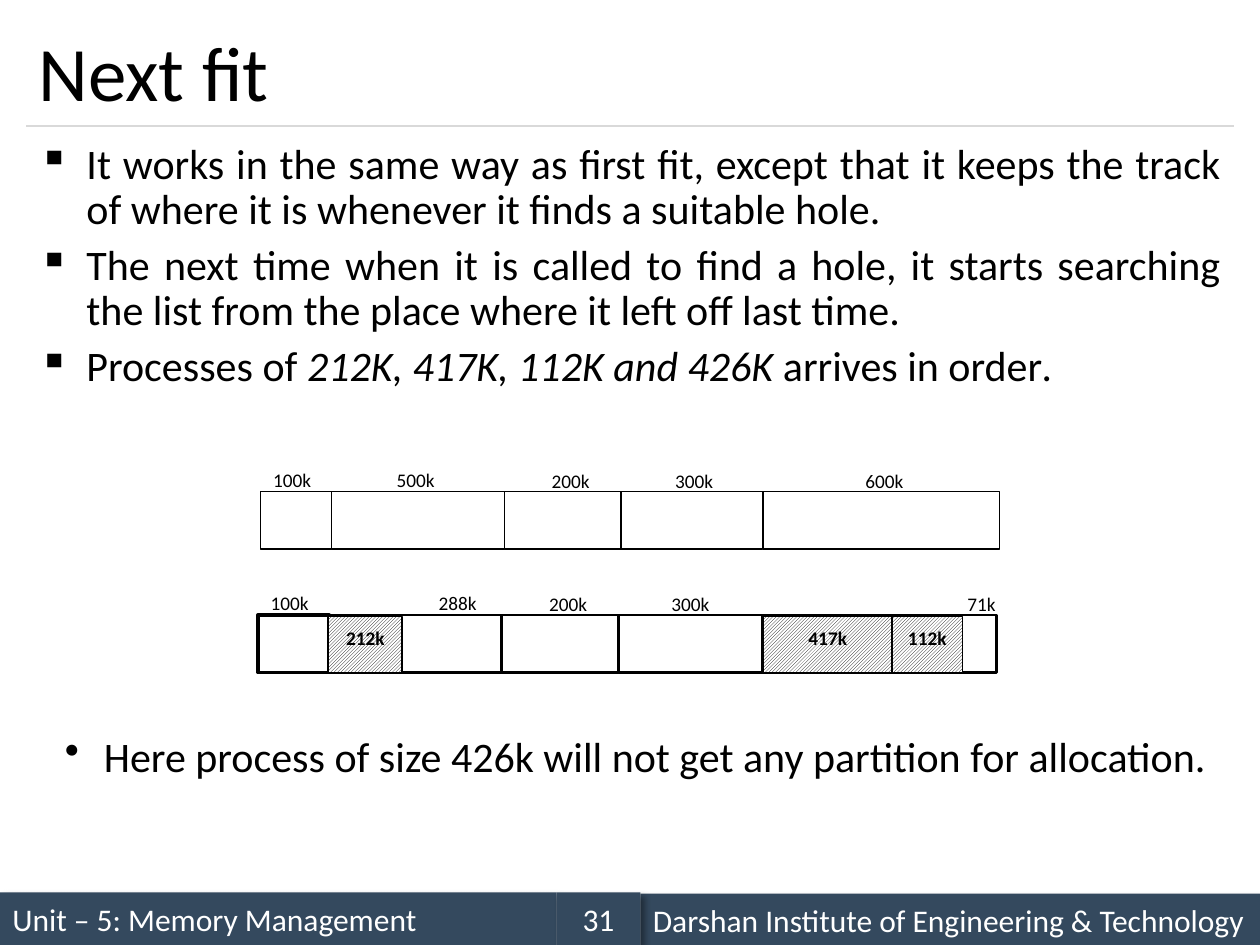
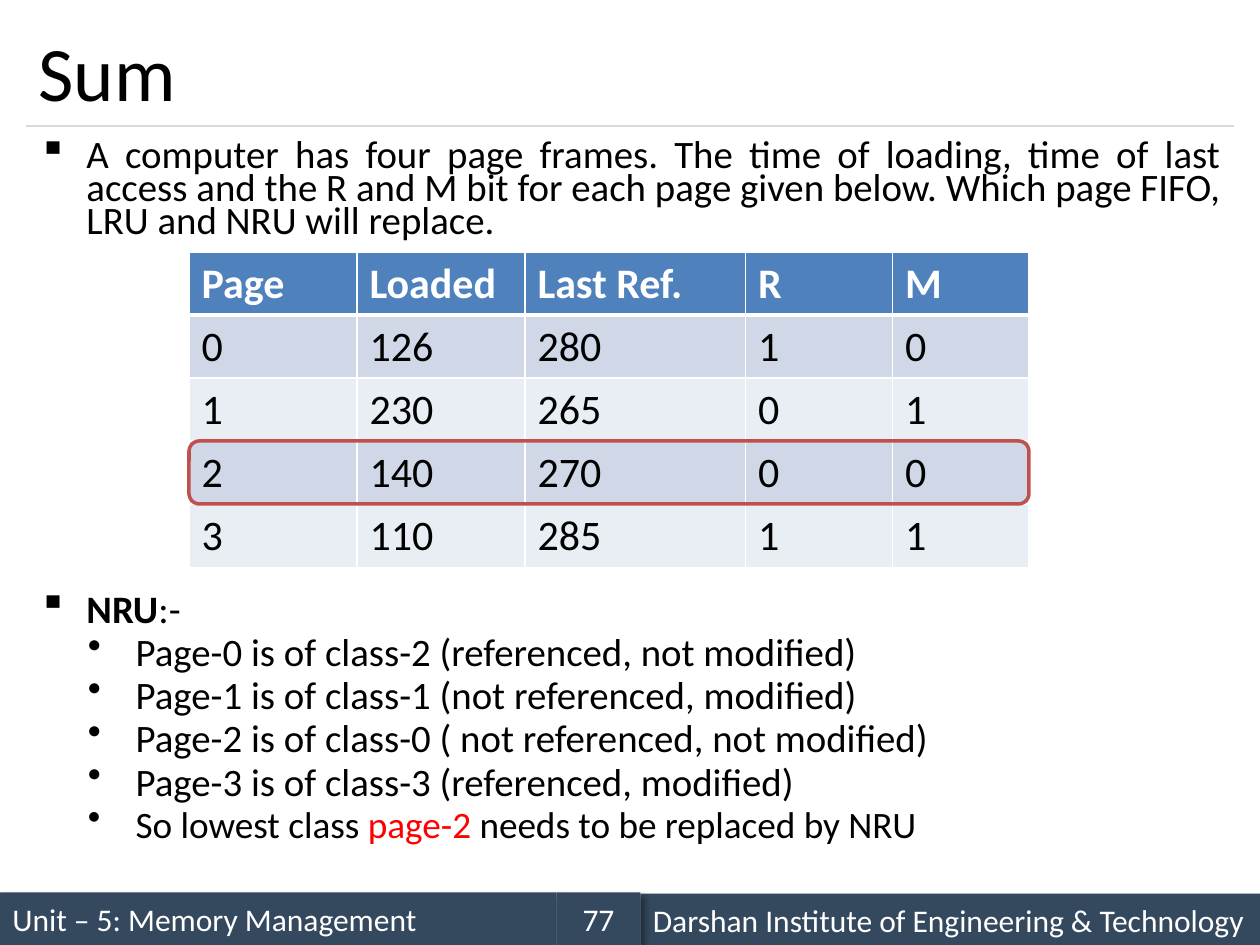
from itertools import accumulate

from lxml.etree import SubElement
from pptx import Presentation
from pptx.dml.color import RGBColor
from pptx.enum.dml import MSO_PATTERN_TYPE
from pptx.enum.shapes import MSO_CONNECTOR, MSO_SHAPE
from pptx.enum.text import MSO_ANCHOR, PP_ALIGN
from pptx.oxml.ns import qn
from pptx.util import Inches, Pt

FONT = "Calibri"
BLACK, WHITE, RED = "000000", "FFFFFF", "FF0000"
BAND, RULE, FRAME = "34495E", "D9D9D9", "C0504D"
HEADER, ROW_DARK, ROW_LIGHT = "4F81BD", "D0D8E8", "E9EDF4"
COLUMNS, ROWS = 120, 90

LABEL = {"line_spacing": 1.15, "space_after": Pt(10)}
CENTRED = {"alignment": PP_ALIGN.CENTER}
BODY = {"alignment": PP_ALIGN.JUSTIFY, "line_spacing": 0.9}
TIGHT = {"alignment": PP_ALIGN.JUSTIFY, "line_spacing": 0.7}


def rgb(value):
    return RGBColor.from_string(value)


def apply(target, values):
    for name, value in values.items():
        setattr(target, name, value)


def child(parent, tag, **attributes):
    return SubElement(parent, qn(tag), **{k: str(v) for k, v in attributes.items()})


class Deck:
    """Holds the style and the current slide; lengths are cells of a 120 x 90 grid."""

    def __init__(self):
        self.prs = Presentation()
        self.prs.slide_width, self.prs.slide_height = Inches(10), Inches(7.5)
        self.s = None

    def x(self, columns):
        return round(self.prs.slide_width * columns / COLUMNS)

    def y(self, rows):
        return round(self.prs.slide_height * rows / ROWS)

    def box(self, left, top, width, height):
        return self.x(left), self.y(top), self.x(width), self.y(height)

    def slide(self, title, number):
        self.s = self.prs.slides.add_slide(self.prs.slide_layouts[6])
        self.band(0, 85, 53, "Unit – 5: Memory Management")
        self.line(2.5, 12, 117.5, 12)
        self.band(61, 85.1, 59, "Darshan Institute of Engineering & Technology")
        self.band(53, 85, 8, str(number), CENTRED)
        self.text((2.5, 1.5, 115, 10.5), [[title]], 44, anchor=MSO_ANCHOR.MIDDLE)

    def band(self, left, top, width, text, style=None):
        sp = self.shape((left, top, width, 5), fill=BAND)
        shadow = child(sp._element.spPr.find(qn("a:effectLst")), "a:outerShdw",
                       blurRad=Pt(4), dist=Pt(3), dir=45 * 60000, algn="tl", rotWithShape=0)
        child(child(shadow, "a:srgbClr", val=BLACK), "a:alpha", val=40000)
        self.fill_text(sp.text_frame, [[text]], 18, style, color=WHITE)

    def line(self, x1, y1, x2, y2):
        c = self.s.shapes.add_connector(
            MSO_CONNECTOR.STRAIGHT, self.x(x1), self.y(y1), self.x(x2), self.y(y2))
        c.line.color.rgb, c.line.width = rgb(RULE), Pt(0.75)
        child(c._element.spPr, "a:effectLst")

    def shape(self, place, kind=MSO_SHAPE.RECTANGLE, fill=None, line=None, weight=0.75):
        sp = self.s.shapes.add_shape(kind, *self.box(*place))
        sp.shadow.inherit = False
        if fill:
            sp.fill.solid()
            sp.fill.fore_color.rgb = rgb(fill)
        else:
            sp.fill.background()
        if line:
            sp.line.color.rgb, sp.line.width = rgb(line), Pt(weight)
        else:
            sp.line.fill.background()
        return sp

    def process(self, left, width, text):
        """Draws an allocated block with diagonal hatching."""
        sp = self.shape((left, 58.68, width, 5.4), line=BLACK)
        sp.fill.patterned()
        sp.fill.pattern = MSO_PATTERN_TYPE.LIGHT_UPWARD_DIAGONAL
        sp.fill.fore_color.rgb, sp.fill.back_color.rgb = rgb(BLACK), rgb(WHITE)
        sp.text_frame.vertical_anchor = MSO_ANCHOR.TOP
        self.fill_text(sp.text_frame, [[(text, {"bold": True})]], 11, LABEL | CENTRED)

    def memory(self, left, top, widths, weights, labels):
        """Draws adjoining holes and the size labels above them."""
        starts = accumulate(widths, initial=left)
        for start, width, weight in zip(starts, widths, weights):
            self.shape((start, top, width, 5.5), fill=WHITE, line=BLACK, weight=weight)
        for start, rise, text in labels:
            self.text((start, top - rise, 6.7, 3.1), [[text]], 11, LABEL, wrap=False)

    def text(self, place, paragraphs, size, style=None, bullets=None,
             anchor=MSO_ANCHOR.TOP, wrap=True):
        tf = self.s.shapes.add_textbox(*self.box(*place)).text_frame
        tf.word_wrap, tf.vertical_anchor = wrap, anchor
        self.fill_text(tf, paragraphs, size, style, bullets)

    def fill_text(self, tf, paragraphs, size, style=None, bullets=None, color=BLACK):
        """Writes lists of runs; each bullet is (character, margin, hang) in inches."""
        for i, runs in enumerate(paragraphs):
            p = tf.add_paragraph() if i else tf.paragraphs[0]
            apply(p, {"alignment": PP_ALIGN.LEFT, "space_before": Pt(6 if i else 0)}
                  | (style or {}))
            if bullets:
                char, margin, hang = bullets[i]
                pPr = p._p.get_or_add_pPr()
                pPr.set("marL", str(Inches(margin)))
                pPr.set("indent", str(-Inches(hang)))
                child(pPr, "a:buChar", char=char)
            for run in runs:
                content, values = (run, {}) if isinstance(run, str) else run
                values = {"name": FONT, "size": Pt(size), "color": color} | values
                r = p.add_run()
                r.text = content
                r.font.color.rgb = rgb(values.pop("color"))
                apply(r.font, values)

    def table(self, left, top, widths, row_height, data):
        place = self.box(left, top, sum(widths), row_height * len(data))
        table = self.s.shapes.add_table(len(data), len(widths), *place).table
        for column, width in zip(table.columns, widths):
            column.width = self.x(width)
        for i, values in enumerate(data):
            fill = (ROW_DARK if i % 2 else ROW_LIGHT) if i else HEADER
            for j, value in enumerate(values):
                cell = table.cell(i, j)
                self.borders(cell, top=3 if i == 1 else 1, bottom=1 if i else 3)
                cell.fill.solid()
                cell.fill.fore_color.rgb = rgb(fill)
                self.fill_text(cell.text_frame, [[(value, {"bold": i == 0})]], 24,
                               color=BLACK if i else WHITE)

    def borders(self, cell, top, bottom):
        tcPr = cell._tc.get_or_add_tcPr()
        for side, weight in {"L": 1, "R": 1, "T": top, "B": bottom}.items():
            ln = child(tcPr, f"a:ln{side}", w=Pt(weight))
            child(child(ln, "a:solidFill"), "a:srgbClr", val=WHITE)


def next_fit(deck):
    deck.slide("Next fit", 31)
    square = ("▪", 0.38, 0.38)
    deck.text((2.5, 13, 115, 33), [
        ["It works in the same way as first fit, except that it keeps the track of "
         "where it is whenever it finds a suitable hole."],
        ["The next time when it is called to find a hole, it starts searching the list "
         "from the place where it left off last time."],
        ["Processes of ", ("212K, 417K, 112K and 426K ", {"italic": True}),
         "arrives in order", (".", {"italic": True})],
    ], 24, BODY, [square] * 3)
    deck.memory(24.84, 46.8, [6.72, 16.5, 11.1, 13.5, 22.56], [0.75] * 5, [
        (24.84, 3.1, "100k"), (36.6, 3.1, "500k"), (51.36, 3, "200k"),
        (63.12, 3, "300k"), (81.24, 3, "600k")])
    deck.memory(24.6, 58.56, [6.72, 16.44, 11.16, 13.68, 22.32], [2.25] + [1.5] * 4, [
        (24.6, 3.2, "100k"), (40.6, 3.2, "288k"), (51.12, 3.1, "200k"),
        (62.76, 3.1, "300k"), (90.96, 3.1, "71k")])
    for left, width, size in [(31.32, 6.96, "212k"), (72.72, 12.24, "417k"),
                              (84.96, 6.72, "112k")]:
        deck.process(left, width, size)
    deck.text((5, 69, 112.5, 6), [
        ["Here process of size 426k will not get any partition for allocation."],
    ], 24, bullets=[("•", 0.31, 0.31)])


def page_replacement_sum(deck):
    deck.slide("Sum", 77)
    square, dot = ("▪", 0.38, 0.38), ("•", 0.77, 0.38)
    deck.text((2.5, 13, 115, 11), [
        ["A computer has four page frames. The time of loading, time of last access and "
         "the R and M bit for each page given below. Which page FIFO, LRU and NRU will "
         "replace."],
    ], 22.2, TIGHT, [square])
    classes = ["Page-0 is of class-2 (referenced, not modified)",
               "Page-1 is of class-1 (not referenced, modified)",
               "Page-2 is of class-0 ( not referenced, not modified)",
               "Page-3 is of class-3 (referenced, modified)"]
    small = {"size": Pt(21.3)}
    deck.text((2.5, 56.3, 115, 26.7), [
        [("NRU", {"bold": True}), ":-"],
        *[[text] for text in classes],
        [("So lowest class ", small), ("page-2", small | {"color": RED}),
         (" needs to be replaced by NRU", small)],
    ], 22.2, TIGHT, [square] + [dot] * 5)
    deck.table(18, 24, [16, 16, 21, 14, 13], 6, [
        ["Page", "Loaded", "Last Ref.", "R", "M"],
        ["0", "126", "280", "1", "0"],
        ["1", "230", "265", "0", "1"],
        ["2", "140", "270", "0", "0"],
        ["3", "110", "285", "1", "1"]])
    deck.shape((18, 42, 80, 6), MSO_SHAPE.ROUNDED_RECTANGLE, line=FRAME, weight=2)


def main():
    deck = Deck()
    next_fit(deck)
    page_replacement_sum(deck)
    deck.prs.save("out.pptx")


if __name__ == "__main__":
    main()
